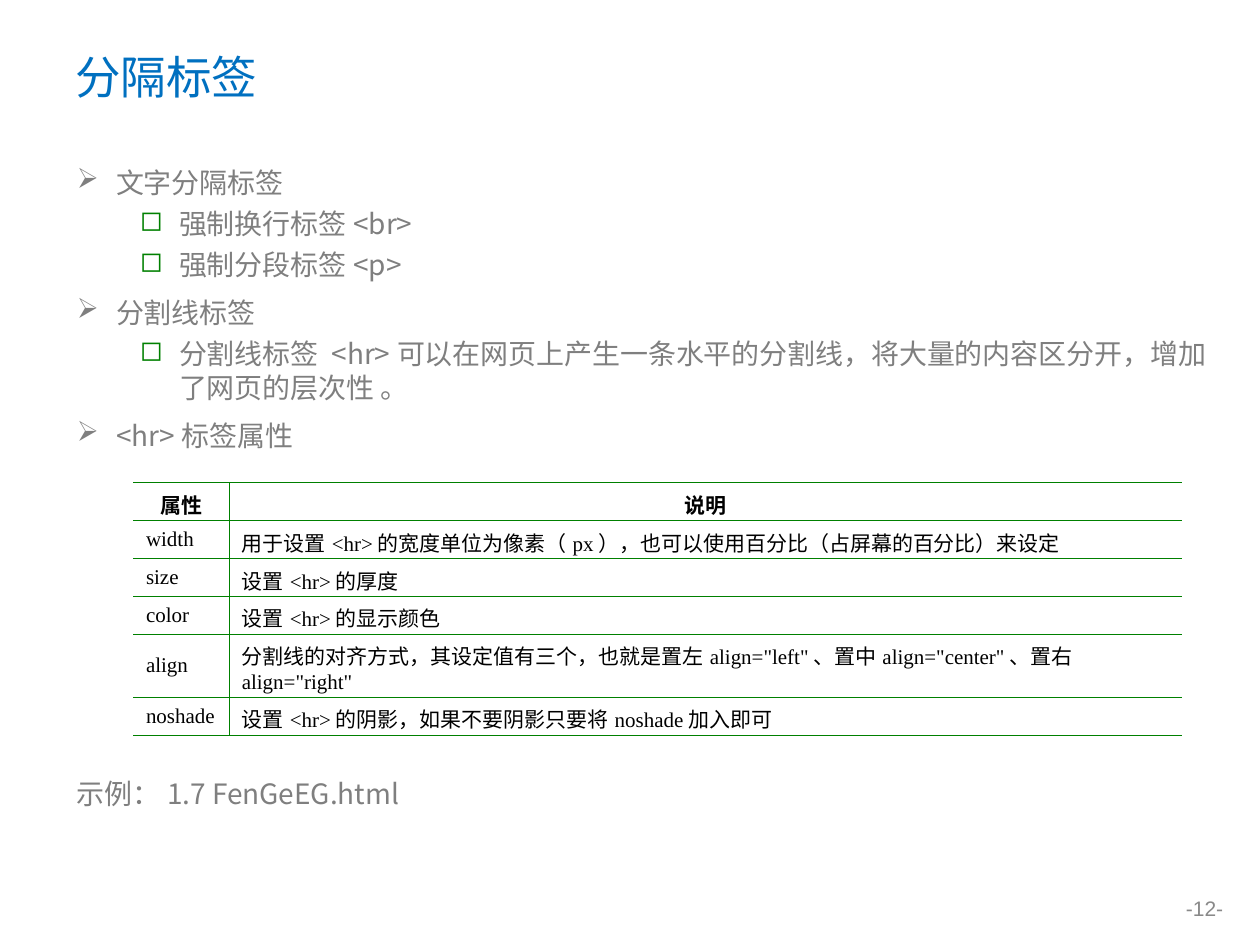
from pptx import Presentation
from pptx.util import Cm, Pt
from pptx.dml.color import RGBColor as RGB
from pptx.enum.text import MSO_ANCHOR as Anchor, PP_ALIGN as Align
from pptx.oxml.ns import qn
from lxml.etree import SubElement as Sub, Element

INK = {"title": "0070C0", "body": "7F7F7F", "green": "008000",
       "cell": "000000", "page": "898989"}
SANS = "Noto Sans CJK SC"
SERIF = "Times New Roman"


def style(par, size, font, ink, bold=False):
    for run in par.runs:
        run.font.size = Pt(size)
        run.font.name = font
        run.font.bold = bold
        run.font.color.rgb = RGB.from_string(INK[ink])
        Sub(run.font._element, qn("a:ea")).set("typeface", SANS)


def add_box(left, top, width, height, anchor=Anchor.TOP):
    frame = slide.shapes.add_textbox(
        Cm(left), Cm(top), Cm(width), Cm(height)).text_frame
    frame.word_wrap = True
    frame.vertical_anchor = anchor
    return frame


deck = Presentation()
deck.slide_width, deck.slide_height = Cm(25.4), Cm(19.05)
slide = deck.slides.add_slide(deck.slide_layouts[6])

# Title
title = add_box(1.27, 0.76, 22.86, 1.55, Anchor.MIDDLE)
title.text = "分隔标签"
style(title.paragraphs[0], 26, SANS, "title")

# Bulleted outline: level and text
items = [
    (0, "文字分隔标签"),
    (1, "强制换行标签<br>"),
    (1, "强制分段标签<p>"),
    (0, "分割线标签"),
    (1, "分割线标签 <hr>可以在网页上产生一条水平的分割线，"
        "将大量的内容区分开，增加了网页的层次性 。"),
    (0, "<hr>标签属性"),
]
# Per level: indent, line height, bullet, bullet colour
levels = [(0.79, 23.6, "➢", "body"), (2.06, 19.4, "◻", "green")]
body = add_box(1.3, 3.05, 23.6, 6.5)
for i, (level, text) in enumerate(items):
    par = body.add_paragraph() if i else body.paragraphs[0]
    par.text = text
    par.level = level
    indent, height, mark, ink = levels[level]
    par.space_before = Pt(4)
    par.line_spacing = Pt(height)
    style(par, 16, SANS, "body")
    props = par._p.get_or_add_pPr()
    props.set("marL", str(Cm(indent)))
    props.set("indent", str(-Cm(0.79)))
    Sub(Sub(props, qn("a:buClr")), qn("a:srgbClr")).set("val", INK[ink])
    Sub(props, qn("a:buChar")).set("char", mark)

# Attribute table
rows = [
    ("属性", "说明"),
    ("width", "用于设置<hr>的宽度单位为像素（px），也可以使用百分比（占屏幕的百分比）来设定"),
    ("size", "设置<hr>的厚度"),
    ("color", "设置<hr>的显示颜色"),
    ("align", '分割线的对齐方式，其设定值有三个，也就是置左align="left"、'
              '置中align="center"、置右align="right"'),
    ("noshade", "设置<hr>的阴影，如果不要阴影只要将noshade加入即可"),
]
table = slide.shapes.add_table(
    len(rows), 2, Cm(2.69), Cm(9.73), Cm(21.13), Cm(4.85)).table
table.first_row = table.horz_banding = False
for col, width in zip(table.columns, (1.93, 19.2)):
    col.width = Cm(width)
for r, row in enumerate(rows):
    table.rows[r].height = Cm(1.27 if row[0] == "align" else 0.76)
    for c, text in enumerate(row):
        cell = table.cell(r, c)
        cell.text = text
        cell.vertical_anchor = Anchor.MIDDLE if r or c else Anchor.TOP
        cell.fill.background()
        par = cell.text_frame.paragraphs[0]
        par.alignment = Align.LEFT if r else Align.CENTER
        style(par, 12, SERIF, "cell", bold=r == 0)
        # Rules on every side but the outer left and right
        props = cell._tc.get_or_add_tcPr()
        for n, side in enumerate("LRTB"):
            line = Element(qn("a:ln" + side))
            props.insert(n, line)
            if side == "LR"[c]:
                Sub(line, qn("a:noFill"))
                continue
            thick = 0.75 if r == 0 and side == "T" else 0.45
            line.set("w", str(Pt(thick)))
            fill = Sub(line, qn("a:solidFill"))
            Sub(fill, qn("a:srgbClr")).set("val", INK["green"])

# Example line
demo = add_box(1.3, 15.52, 23.6, 1)
demo.text = "示例：1.7 FenGeEG.html"
style(demo.paragraphs[0], 16, SANS, "body")

# Page number
page = add_box(23.11, 17.93, 1.8, 0.74, Anchor.MIDDLE)
page.text = "-12-"
page.paragraphs[0].alignment = Align.RIGHT
style(page.paragraphs[0], 12, "Arial", "page")

deck.save("out.pptx")
